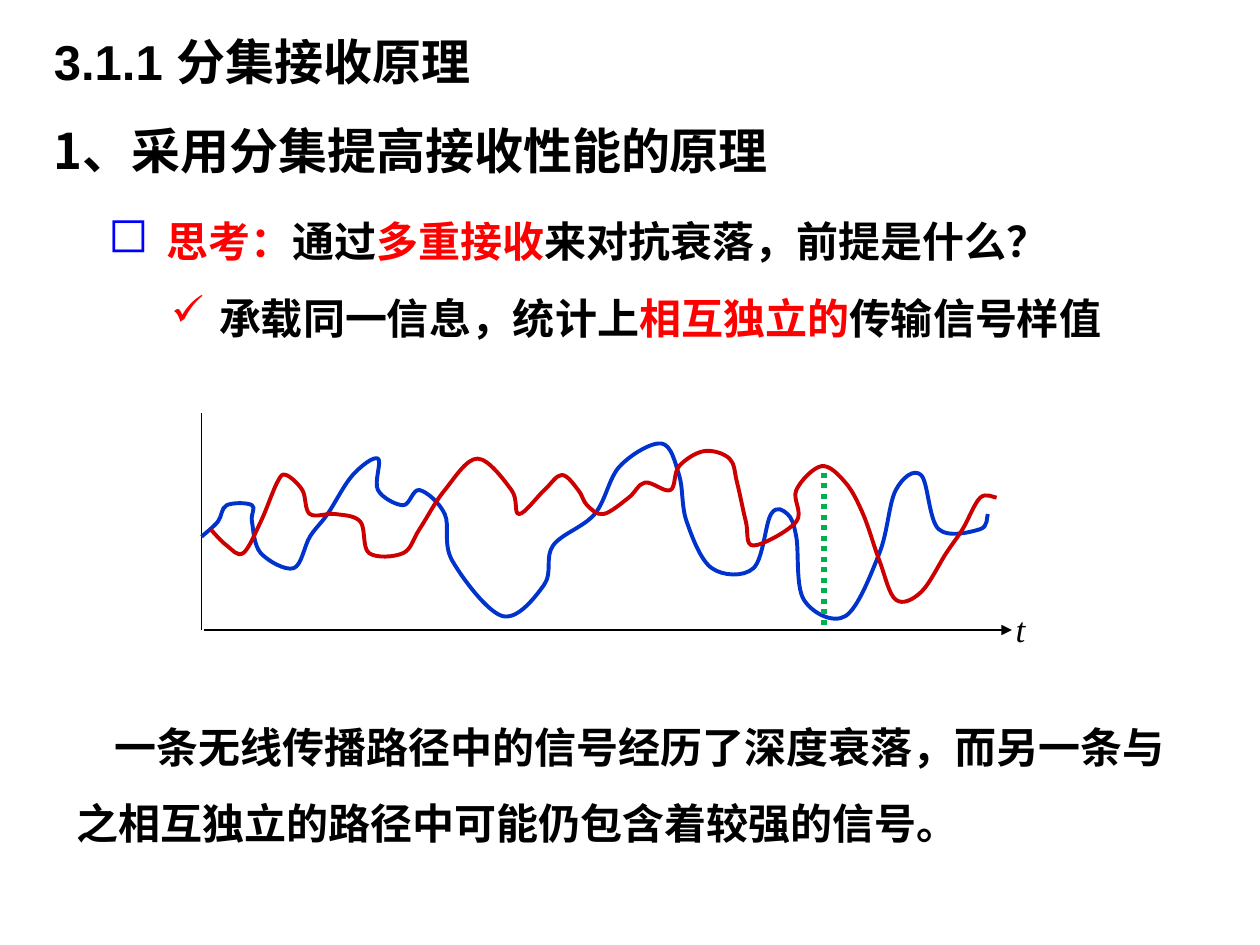
from dataclasses import dataclass

from lxml import etree
from pptx import Presentation
from pptx.dml.color import RGBColor
from pptx.enum.dml import MSO_LINE
from pptx.enum.shapes import MSO_CONNECTOR
from pptx.enum.text import PP_ALIGN
from pptx.oxml.ns import qn
from pptx.util import Inches, Pt

STRAIGHT = MSO_CONNECTOR.STRAIGHT
DOTTED = MSO_LINE.ROUND_DOT
LEFT, CENTER = PP_ALIGN.LEFT, PP_ALIGN.CENTER


@dataclass(frozen=True)
class Theme:
    black: str = "000000"
    red: str = "FF0000"
    bullet_blue: str = "0000FF"
    curve_blue: str = "0033CC"
    curve_red: str = "CC0000"
    green: str = "00B050"
    latin: str = "Arial"
    chinese: str = "Noto Sans CJK SC"
    math: str = "Times New Roman"
    heading: int = 28
    body: int = 24
    axis: int = 20


THEME = Theme()

# Knots of the two fading signals, in inches
BLUE_SIGNAL = [
    (1.6, 4.26), (1.73, 4.14), (1.8, 4.01), (2, 4.01), (2, 4.14), (2.07, 4.39),
    (2.33, 4.51), (2.46, 4.26), (2.6, 4.08), (2.8, 3.77), (3, 3.64), (3, 3.89),
    (3.2, 4.01), (3.33, 3.89), (3.53, 4.08), (3.59, 4.45), (3.99, 4.89),
    (4.32, 4.64), (4.39, 4.33), (4.72, 4.08), (4.92, 3.7), (5.25, 3.52),
    (5.39, 3.77), (5.45, 4.14), (5.65, 4.51), (5.98, 4.51), (6.12, 4.08),
    (6.25, 4.08), (6.32, 4.26), (6.38, 4.76), (6.71, 4.89), (6.98, 4.39),
    (7.11, 3.89), (7.31, 3.77), (7.45, 4.2), (7.78, 4.2), (7.84, 4.08),
]
RED_SIGNAL = [
    (1.67, 4.2), (1.8, 4.33), (1.93, 4.39), (2.07, 4.14), (2.2, 3.83),
    (2.27, 3.77), (2.4, 3.89), (2.46, 4.08), (2.66, 4.08), (2.86, 4.14),
    (2.93, 4.39), (3.2, 4.39), (3.33, 4.2), (3.53, 3.89), (3.79, 3.64),
    (4.06, 3.89), (4.12, 4.08), (4.32, 3.89), (4.46, 3.77), (4.59, 3.89),
    (4.66, 4.01), (4.79, 4.08), (4.99, 3.95), (5.12, 3.83), (5.32, 3.89),
    (5.39, 3.7), (5.59, 3.58), (5.79, 3.64), (5.85, 3.83), (5.92, 4.14),
    (5.98, 4.33), (6.32, 4.14), (6.32, 3.89), (6.52, 3.7), (6.71, 3.83),
    (6.85, 4.08), (6.98, 4.45), (7.11, 4.76), (7.31, 4.7), (7.51, 4.39),
    (7.64, 4.2), (7.78, 3.95), (7.91, 3.95),
]


def add_run(paragraph, text, *, size=THEME.body, color=THEME.black,
            font=THEME.chinese, bold=True, italic=False):
    run = paragraph.add_run()
    run.text = text
    run.font.size = Pt(size)
    run.font.name = font
    run.font.bold = bold
    run.font.italic = italic
    run.font.color.rgb = RGBColor.from_string(color)
    east_asian = etree.SubElement(run._r.get_or_add_rPr(), qn("a:ea"))
    east_asian.set("typeface", THEME.chinese)


def smooth(shape):
    """Turn the straight segments into a spline through the same knots."""
    knots = [(int(point.get("x")), int(point.get("y")))
             for point in shape._element.xpath(".//a:pt")]
    padded = [knots[0], *knots, knots[-1]]
    for index, segment in enumerate(shape._element.xpath(".//a:lnTo")):
        before, start, end, after = padded[index:index + 4]
        controls = (
            [s + (e - b) / 6 for b, s, e in zip(before, start, end)],
            [e - (a - s) / 6 for s, e, a in zip(start, end, after)],
            end,
        )
        curve = etree.Element(qn("a:cubicBezTo"))
        for x, y in controls:
            etree.SubElement(curve, qn("a:pt"), x=str(round(x)), y=str(round(y)))
        segment.getparent().replace(segment, curve)


class SlideBuilder:
    def __init__(self, slide, theme):
        self.slide = slide
        self.theme = theme

    def text_box(self, left, top, width, height, wrap=True):
        box = self.slide.shapes.add_textbox(
            Inches(left), Inches(top), Inches(width), Inches(height))
        box.text_frame.word_wrap = wrap
        return box.text_frame

    def paragraph(self, frame, runs, *, margin=0, indent=0, spacing=1.5,
                  align=LEFT, bullet=None, bullet_color=None):
        paragraph = frame.paragraphs[0]
        if paragraph.runs:
            paragraph = frame.add_paragraph()
        paragraph.alignment = align
        paragraph.line_spacing = spacing
        properties = paragraph._p.get_or_add_pPr()
        properties.set("marL", str(Inches(margin)))
        properties.set("indent", str(Inches(indent)))
        if bullet:
            color = etree.SubElement(properties, qn("a:buClr"))
            etree.SubElement(color, qn("a:srgbClr"), val=bullet_color)
            etree.SubElement(properties, qn("a:buChar"), char=bullet)
        for text, style in runs:
            add_run(paragraph, text, **style)

    def line(self, start, end, color, width=1, dash=None, arrow=False):
        connector = self.slide.shapes.add_connector(
            STRAIGHT, *(Inches(value) for value in (*start, *end)))
        connector.line.color.rgb = RGBColor.from_string(color)
        connector.line.width = Pt(width)
        if dash:
            connector.line.dash_style = dash
        if arrow:
            etree.SubElement(connector.line._get_or_add_ln(),
                             qn("a:tailEnd"), type="triangle")
        etree.SubElement(connector._element.spPr, qn("a:effectLst"))

    def curve(self, knots, color):
        points = [(Inches(x), Inches(y)) for x, y in knots]
        builder = self.slide.shapes.build_freeform(*points[0])
        builder.add_line_segments(points[1:], close=False)
        shape = builder.convert_to_shape()
        smooth(shape)
        shape.shadow.inherit = False
        shape.fill.background()
        shape.line.color.rgb = RGBColor.from_string(color)
        shape.line.width = Pt(2.25)


def main():
    presentation = Presentation()
    presentation.slide_width, presentation.slide_height = Inches(10), Inches(7.5)
    slide = presentation.slides.add_slide(presentation.slide_layouts[6])
    builder = SlideBuilder(slide, THEME)
    red = {"color": THEME.red}

    # Headings and the question with its answer
    body = builder.text_box(0.33, -0.03, 9.19, 2.97)
    builder.paragraph(body, [("3.1.1 分集接收原理",
                              {"size": THEME.heading, "font": THEME.latin})])
    builder.paragraph(body, [("1、采用分集提高接收性能的原理",
                              {"size": THEME.heading})])
    builder.paragraph(
        body,
        [(" ", {"size": THEME.heading, "color": THEME.bullet_blue, "bold": False}),
         ("思考：", red), ("通过", {}), ("多重接收", red),
         ("来对抗衰落，前提是什么？", {})],
        margin=0.81, indent=-0.38, bullet="◻", bullet_color=THEME.bullet_blue)
    builder.paragraph(
        body,
        [("承载同一信息，统计上", {}), ("相互独立的", red), ("传输信号样值", {})],
        margin=1.31, indent=-0.38, bullet="✓", bullet_color=THEME.red)

    # Conclusion
    conclusion = builder.text_box(0.51, 5.48, 8.98, 1.31)
    builder.paragraph(
        conclusion,
        [("一条无线传播路径中的信号经历了深度衰落，"
          "而另一条与之相互独立的路径中可能仍包含着较强的信号。", {})],
        indent=0.3)

    # Signal diagram: axes, two paths, and the moment of deep fading
    builder.line((1.6, 3.28), (1.6, 5), THEME.black)
    builder.curve(BLUE_SIGNAL, THEME.curve_blue)
    builder.curve(RED_SIGNAL, THEME.curve_red)
    builder.line((1.62, 5), (8.03, 5), THEME.black, arrow=True)
    time_label = builder.text_box(7.96, 4.77, 0.28, 0.4, wrap=False)
    builder.paragraph(
        time_label,
        [("t", {"size": THEME.axis, "font": THEME.math,
                "bold": False, "italic": True})],
        spacing=1.0, align=CENTER)
    builder.line((6.54, 3.75), (6.54, 5), THEME.green, width=3, dash=DOTTED)

    presentation.save("out.pptx")


if __name__ == "__main__":
    main()
